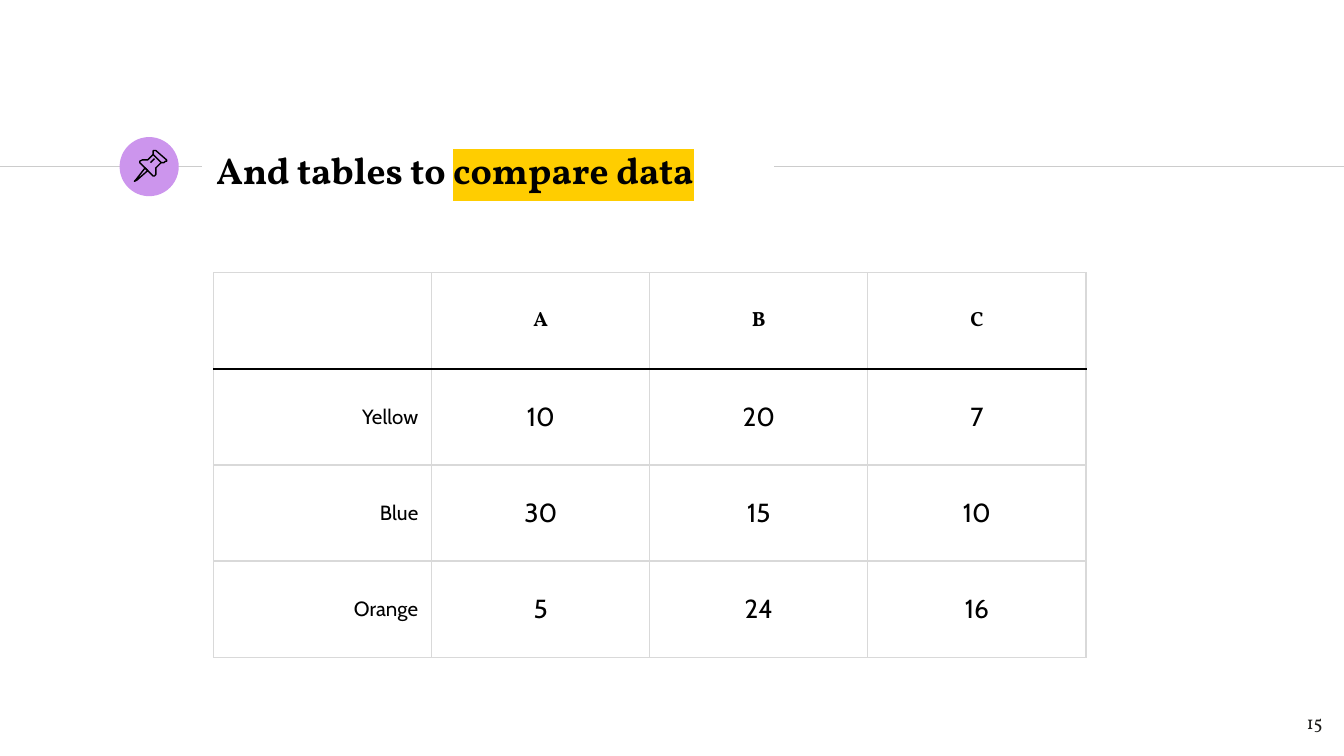
import pptx
import pptx.util
import pptx.dml.color
import pptx.enum.shapes
import pptx.enum.text
import pptx.oxml
import pptx.oxml.ns
from dataclasses import dataclass

Inches = pptx.util.Inches
Pt = pptx.util.Pt
RGB = pptx.dml.color.RGBColor.from_string
ALIGN = pptx.enum.text.PP_ALIGN
ANCHOR = pptx.enum.text.MSO_ANCHOR
NAMESPACE = pptx.oxml.ns.nsdecls("a")


@dataclass(frozen=True)
class Theme:
    ink: str = "000000"
    number_ink: str = "1D1D1B"
    rule: str = "CCCCCC"
    grid: str = "D9D9D9"
    badge: str = "CC95ED"
    highlight: str = "FFCD00"
    heading_font: str = "Vollkorn"
    body_font: str = "Cabin"
    title_size: float = 20
    label_size: float = 11
    value_size: float = 14
    number_size: float = 10
    line_width: float = 0.75


theme = Theme()


def apply_format(target, values):
    for name, value in values.items():
        setattr(target, name, value)


def add_run(paragraph, text, name, size, bold=False, color=theme.ink):
    run = paragraph.add_run()
    run.text = text
    apply_format(run.font, {"name": name, "size": Pt(size), "bold": bold})
    run.font.color.rgb = RGB(color)
    return run


presentation = pptx.Presentation()
apply_format(presentation, {"slide_width": Inches(10), "slide_height": Inches(10 * 9 / 16)})
slide = presentation.slides.add_slide(presentation.slide_layouts[5])
shapes = slide.shapes

rule_y = Inches(1.24)
for start, end in [(0, 1.5), (5.76, 10)]:
    rule = shapes.add_connector(
        pptx.enum.shapes.MSO_CONNECTOR.STRAIGHT, Inches(start), rule_y, Inches(end), rule_y
    )
    rule.line.color.rgb = RGB(theme.rule)
    rule.line.width = Pt(theme.line_width)
    rule._element.spPr.append(pptx.oxml.parse_xml(f"<a:effectLst {NAMESPACE}/>"))

badge = shapes.add_shape(
    pptx.enum.shapes.MSO_SHAPE.OVAL, Inches(0.89), Inches(1.02), Inches(0.44), Inches(0.44)
)
badge.shadow.inherit = False
badge.fill.solid()
badge.fill.fore_color.rgb = RGB(theme.badge)
badge.line.fill.background()

title = shapes.title
apply_format(title, {
    "left": Inches(1.51), "top": Inches(1.02), "width": Inches(4.24), "height": Inches(0.48),
})
number_box = shapes.add_textbox(Inches(9.34), Inches(5.19), Inches(0.6), Inches(0.43))
for shape, anchor, alignment in [
    (title, ANCHOR.MIDDLE, ALIGN.LEFT),
    (number_box, ANCHOR.TOP, ALIGN.RIGHT),
]:
    apply_format(shape.text_frame, {
        "word_wrap": True,
        "auto_size": pptx.enum.text.MSO_AUTO_SIZE.NONE,
        "vertical_anchor": anchor,
        "margin_left": Inches(0.1), "margin_right": Inches(0.1),
        "margin_top": Inches(0.1), "margin_bottom": Inches(0.1),
    })
    shape.text_frame.paragraphs[0].alignment = alignment

title_paragraph = title.text_frame.paragraphs[0]
add_run(title_paragraph, "And tables to ", theme.heading_font, theme.title_size, True)
marked = add_run(title_paragraph, "compare data", theme.heading_font, theme.title_size, True)
marked.font._element.find(pptx.oxml.ns.qn("a:latin")).addprevious(pptx.oxml.parse_xml(
    f'<a:highlight {NAMESPACE}><a:srgbClr val="{theme.highlight}"/></a:highlight>'
))
add_run(number_box.text_frame.paragraphs[0], "15", theme.heading_font,
        theme.number_size, color=theme.number_ink)

rows = [
    ["", "A", "B", "C"],
    ["Yellow", "10", "20", "7"],
    ["Blue", "30", "15", "10"],
    ["Orange", "5", "24", "16"],
]
table_width, table_height = 6.49, 2.86
table = shapes.add_table(
    len(rows), len(rows[0]), Inches(1.59), Inches(2.03),
    Inches(table_width), Inches(table_height),
).table
apply_format(table, {"first_row": False, "horz_banding": False})

for row_index, row in enumerate(rows):
    for column_index, text in enumerate(row):
        cell = table.cell(row_index, column_index)
        apply_format(cell, {
            "vertical_anchor": ANCHOR.MIDDLE,
            "margin_left": Inches(0.1), "margin_right": Inches(0.1),
            "margin_top": Inches(0.07), "margin_bottom": Inches(0.07),
        })
        cell.fill.background()
        header, label = row_index == 0, column_index == 0
        paragraph = cell.text_frame.paragraphs[0]
        paragraph.alignment = ALIGN.RIGHT if label else ALIGN.CENTER
        if text:
            add_run(paragraph, text, theme.heading_font if header else theme.body_font,
                    theme.label_size if header or label else theme.value_size, header)
        borders = {
            "L": theme.grid,
            "R": theme.grid,
            "T": theme.ink if row_index == 1 else theme.grid,
            "B": theme.ink if header else theme.grid,
        }
        properties = cell._tc.get_or_add_tcPr()
        for position, (side, color) in enumerate(borders.items()):
            properties.insert(position, pptx.oxml.parse_xml(
                f'<a:ln{side} {NAMESPACE} w="{Pt(theme.line_width)}"><a:solidFill>'
                f'<a:srgbClr val="{color}"/></a:solidFill></a:ln{side}>'
            ))

needle = [(108, 125), (101, 134), (100, 135), (102, 134), (110, 127)]
head = [(114.5, 115), (120, 120.7), (121.5, 121), (123, 120.5), (124, 119.5), (123.8, 118.8),
        (116.4, 111.6), (115.6, 111.5), (114.5, 112.5), (114, 114)]
body = [(114.5, 115), (110, 119.2), (108, 118.8), (106, 118.8), (104.2, 119.8), (104, 120.6),
        (114.3, 130.8), (115.2, 131), (116, 129.5), (116.4, 128), (116, 125), (120, 120.7)]
glint = [(112, 121), (115, 118)]
pin = shapes.add_group_shape()
for points, closed in [(needle, True), (head, True), (body, False), (glint, False)]:
    builder = pin.shapes.build_freeform(*points[0], scale=Inches(0.01))
    builder.add_line_segments(points[1:], close=closed)
    outline = builder.convert_to_shape()
    outline.shadow.inherit = False
    outline.fill.background()
    outline.line.color.rgb = RGB(theme.ink)
    outline.line.width = Pt(theme.line_width)

presentation.save("out.pptx")
